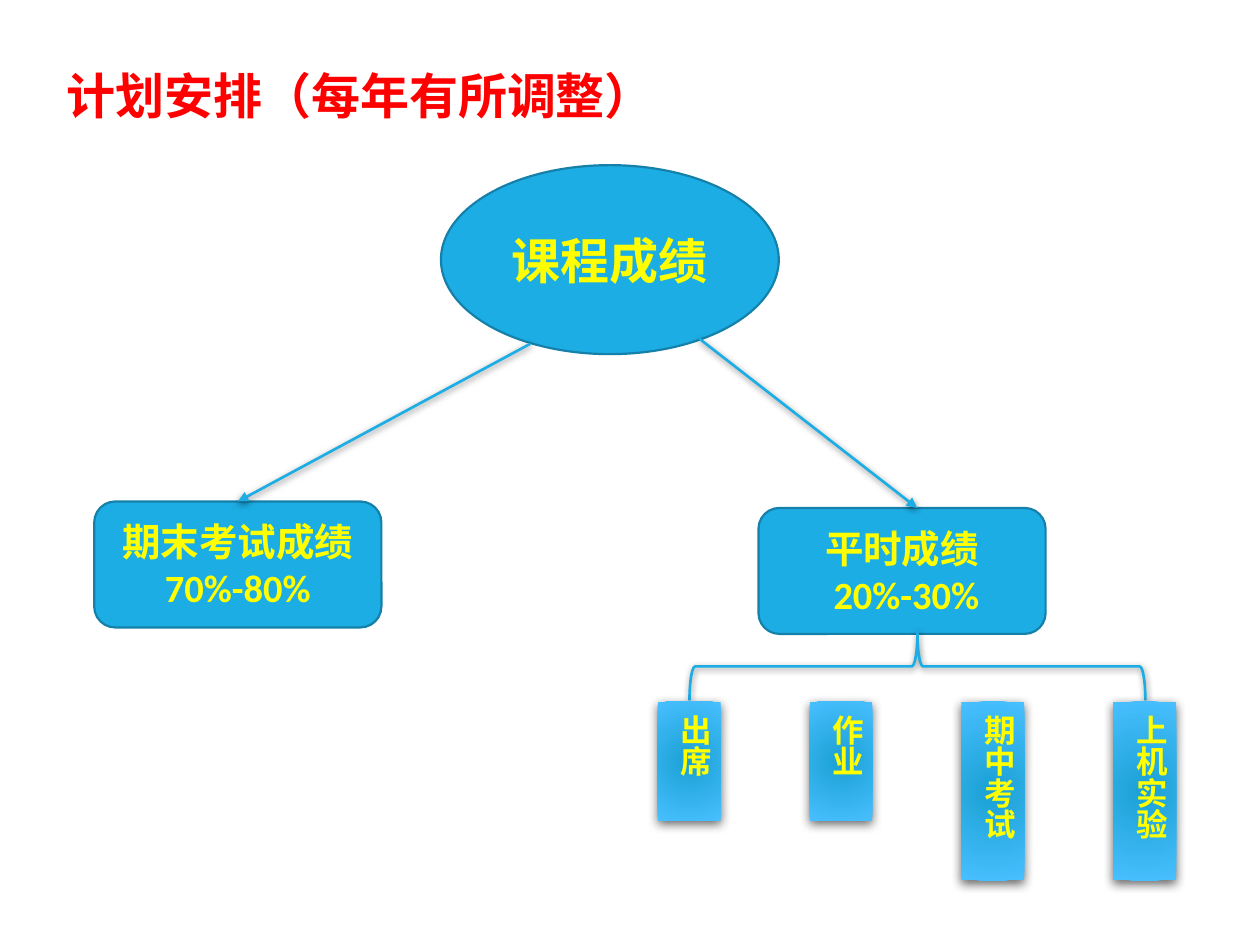
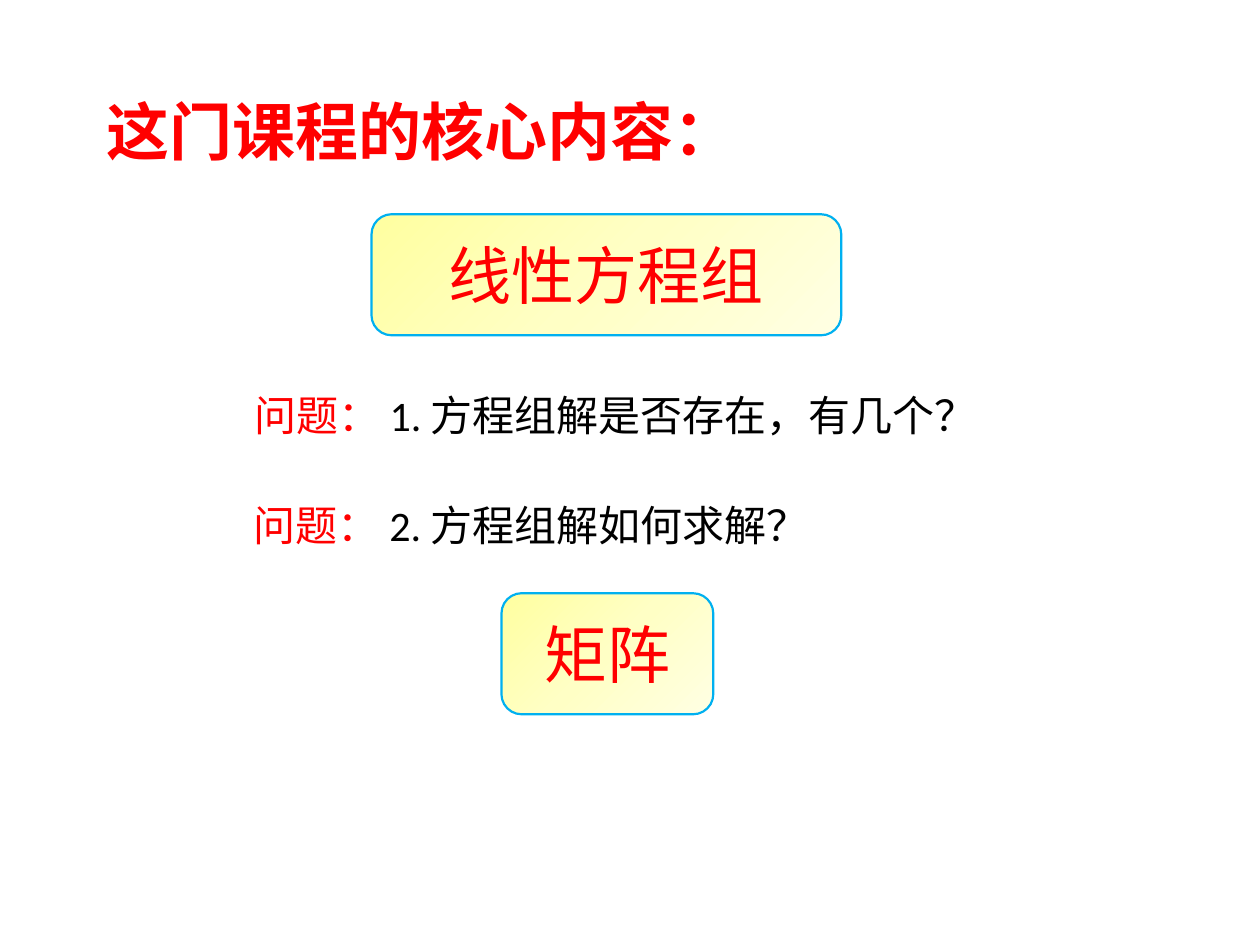
from dataclasses import dataclass

from pptx import Presentation
from pptx.dml.color import RGBColor
from pptx.enum.shapes import MSO_CONNECTOR, MSO_SHAPE
from pptx.enum.text import MSO_ANCHOR, MSO_AUTO_SIZE, PP_ALIGN
from pptx.oxml import parse_xml
from pptx.oxml.ns import nsdecls
from pptx.util import Cm, Pt

OVAL = MSO_SHAPE.OVAL
ROUND = MSO_SHAPE.ROUNDED_RECTANGLE
RECT = MSO_SHAPE.RECTANGLE
BRACE = MSO_SHAPE.LEFT_BRACE
STRAIGHT = MSO_CONNECTOR.STRAIGHT
LEFT, CENTER = PP_ALIGN.LEFT, PP_ALIGN.CENTER
TOP, MIDDLE = MSO_ANCHOR.TOP, MSO_ANCHOR.MIDDLE
GROW = MSO_AUTO_SIZE.SHAPE_TO_FIT_TEXT


@dataclass(frozen=True)
class Theme:
    """Colours, fonts and type sizes of the deck."""
    red: str = "FF0000"
    yellow: str = "FFFF00"
    black: str = "000000"
    white: str = "FFFFFF"
    blue: str = "1CADE4"
    edge: str = "1580A9"
    sky: str = "00B0F0"
    cream: tuple = ((0, "FFFFA0"), (50, "FFFFC5"), (100, "FFFFE3"))
    glow: tuple = ((0, "1AA1D4"), (100, "48BFFF"))
    head: str = "Arial"
    body: str = "Calibri"
    huge: int = 36
    large: int = 28
    ask: int = 24
    node: int = 22
    leaf: int = 18
    thin: float = 1.25
    thick: float = 1.5


THEME = Theme()


def tint(code):
    """Turn a hex code into a colour."""
    return RGBColor.from_string(code)


def style(font, size, color, bold=False, name=THEME.body):
    """Set the look of a font."""
    font.name, font.size, font.bold = name, Pt(size), bold
    font.color.rgb = tint(color)


def stroke(line, color, width):
    """Set the colour and width of a line."""
    line.color.rgb = tint(color)
    line.width = Pt(width)


def blend(shape, stops, mode):
    """Fill a shape with a gradient of the given mode."""
    marks = "".join(f'<a:gs pos="{pos * 1000}"><a:srgbClr val="{color}"/></a:gs>'
                    for pos, color in stops)
    fill = parse_xml(f'<a:gradFill {nsdecls("a")} rotWithShape="1">'
                     f'<a:gsLst>{marks}</a:gsLst>{mode}</a:gradFill>')
    shape.element.spPr.prstGeom.addnext(fill)


def slant(shape, stops):
    """Fill a shape with a diagonal gradient."""
    blend(shape, stops, '<a:lin ang="2700000" scaled="0"/>')


def halo(shape, stops):
    """Fill a shape with a gradient around its centre."""
    blend(shape, stops, '<a:path path="circle"><a:fillToRect l="100000" t="100000" '
                        'r="100000" b="100000"/></a:path>')


def shade(shape, alpha, blur, drop):
    """Cast a soft black shadow straight down."""
    shape.element.spPr.append(parse_xml(
        f'<a:effectLst {nsdecls("a")}><a:outerShdw blurRad="{Pt(blur)}" '
        f'dist="{Pt(drop)}" dir="5400000" rotWithShape="0"><a:srgbClr val="{THEME.black}">'
        f'<a:alpha val="{alpha * 1000}"/></a:srgbClr></a:outerShdw></a:effectLst>'))


def add_page(deck, text, size, left, top, width, height):
    """Add a slide with a red title."""
    page = deck.slides.add_slide(deck.slide_layouts[5])
    title = page.shapes.title
    title.left, title.top, title.width, title.height = map(Cm, (left, top, width, height))
    frame = title.text_frame
    frame.text = text
    frame.word_wrap, frame.auto_size = False, GROW
    frame.vertical_anchor = TOP
    frame.paragraphs[0].alignment = LEFT
    style(frame.paragraphs[0].font, size, THEME.red, True, THEME.head)
    return page


def add_form(page, kind, left, top, width, height):
    """Add a preset shape."""
    return page.shapes.add_shape(kind, *map(Cm, (left, top, width, height)))


def write(shape, text, size, color, bold=False, align=CENTER):
    """Fill a shape with text of one look."""
    frame = shape.text_frame
    frame.text = text
    frame.word_wrap = True
    frame.vertical_anchor = MIDDLE
    for para in frame.paragraphs:
        para.alignment = align
        style(para.font, size, color, bold)


def add_node(page, kind, text, size, *box):
    """Add a blue node of the grade tree."""
    node = add_form(page, kind, *box)
    node.shadow.inherit = False
    node.fill.solid()
    node.fill.fore_color.rgb = tint(THEME.blue)
    stroke(node.line, THEME.edge, THEME.thin)
    write(node, text, size, THEME.yellow, True)
    return node


def add_arrow(page, start, end, node=None):
    """Add an arrow, joined to the top of a node if one is given."""
    arrow = page.shapes.add_connector(STRAIGHT, *map(Cm, start + end))
    if node is not None:
        arrow.end_connect(node, 0)
    stroke(arrow.line, THEME.blue, THEME.thick)
    arrow.line._get_or_add_ln().append(
        parse_xml(f'<a:tailEnd {nsdecls("a")} type="triangle"/>'))
    shade(arrow, 50, 4, 1)


def add_brace(page, *box):
    """Add a brace that opens downward."""
    brace = add_form(page, BRACE, *box)
    brace.rotation = 270
    brace.element.spPr.xfrm.set("flipH", "1")
    brace.fill.background()
    stroke(brace.line, THEME.blue, THEME.thick)
    shade(brace, 50, 4, 1)


def add_leaf(page, text, left, top):
    """Add a leaf with upright text, as tall as its text needs."""
    leaf = add_form(page, RECT, left, top, 1.27, 1.2 + 0.6 * len(text))
    halo(leaf, THEME.glow)
    leaf.line.fill.background()
    shade(leaf, 60, 6, 2)
    write(leaf, text, THEME.leaf, THEME.yellow, True, LEFT)
    frame = leaf.text_frame
    frame.vertical_anchor, frame.auto_size = TOP, GROW
    frame._txBody.bodyPr.set("vert", "eaVert")


def add_topic(page, text, left, top, width):
    """Add a cream box with a core topic."""
    topic = add_form(page, ROUND, left, top, width, 2.44)
    topic.shadow.inherit = False
    slant(topic, THEME.cream)
    stroke(topic.line, THEME.sky, THEME.thin)
    write(topic, text, THEME.huge, THEME.red)


def add_query(page, label, text, left, top):
    """Add a white box with a red label and a question."""
    query = add_form(page, ROUND, left, top, 16.64, 2.44)
    query.shadow.inherit = False
    query.fill.solid()
    query.fill.fore_color.rgb = tint(THEME.white)
    stroke(query.line, THEME.white, THEME.thin)
    write(query, label, THEME.ask, THEME.red)
    run = query.text_frame.paragraphs[0].add_run()
    run.text = text
    run.font.color.rgb = tint(THEME.black)


def draw_plan(deck):
    """Build the slide with the grade tree."""
    page = add_page(deck, "计划安排（每年有所调整）", THEME.large, 1.09, 1.19, 12.47, 1.45)
    add_node(page, OVAL, "课程成绩", THEME.large, 8.89, 3.33, 6.81, 3.81)
    final = add_node(page, ROUND, "期末考试成绩 70%-80%", THEME.node, 1.9, 10.11, 5.79, 2.54)
    add_node(page, ROUND, "平时成绩\n 20%-30%", THEME.node, 15.29, 10.24, 5.79, 2.54)
    add_arrow(page, (10.69, 6.93), (4.79, 10.11), final)
    add_arrow(page, (14.1, 6.83), (18.49, 10.24))
    add_brace(page, 17.81, 8.84, 1.37, 9.19)
    for slot, text in enumerate(("出席", "作业", "期中考试", "上机实验")):
        add_leaf(page, text, 13.26 + 3.06 * slot, 14.15)


def draw_core(deck):
    """Build the slide with the core topics."""
    page = add_page(deck, "这门课程的核心内容：", THEME.huge, 1.9, 1.73, 13.34, 1.8)
    add_topic(page, "线性方程组", 7.49, 4.32, 9.47)
    add_query(page, "问题： ", "1. 方程组解是否存在，有几个？", 4.09, 7.14)
    add_query(page, "问题： ", "2. 方程组解如何求解？", 2.39, 9.35)
    add_topic(page, "矩阵", 10.11, 11.96, 4.27)


def main():
    """Build and save the deck."""
    deck = Presentation()
    deck.slide_width, deck.slide_height = Cm(25.4), Cm(19.05)
    draw_plan(deck)
    draw_core(deck)
    deck.save("out.pptx")


if __name__ == "__main__":
    main()
